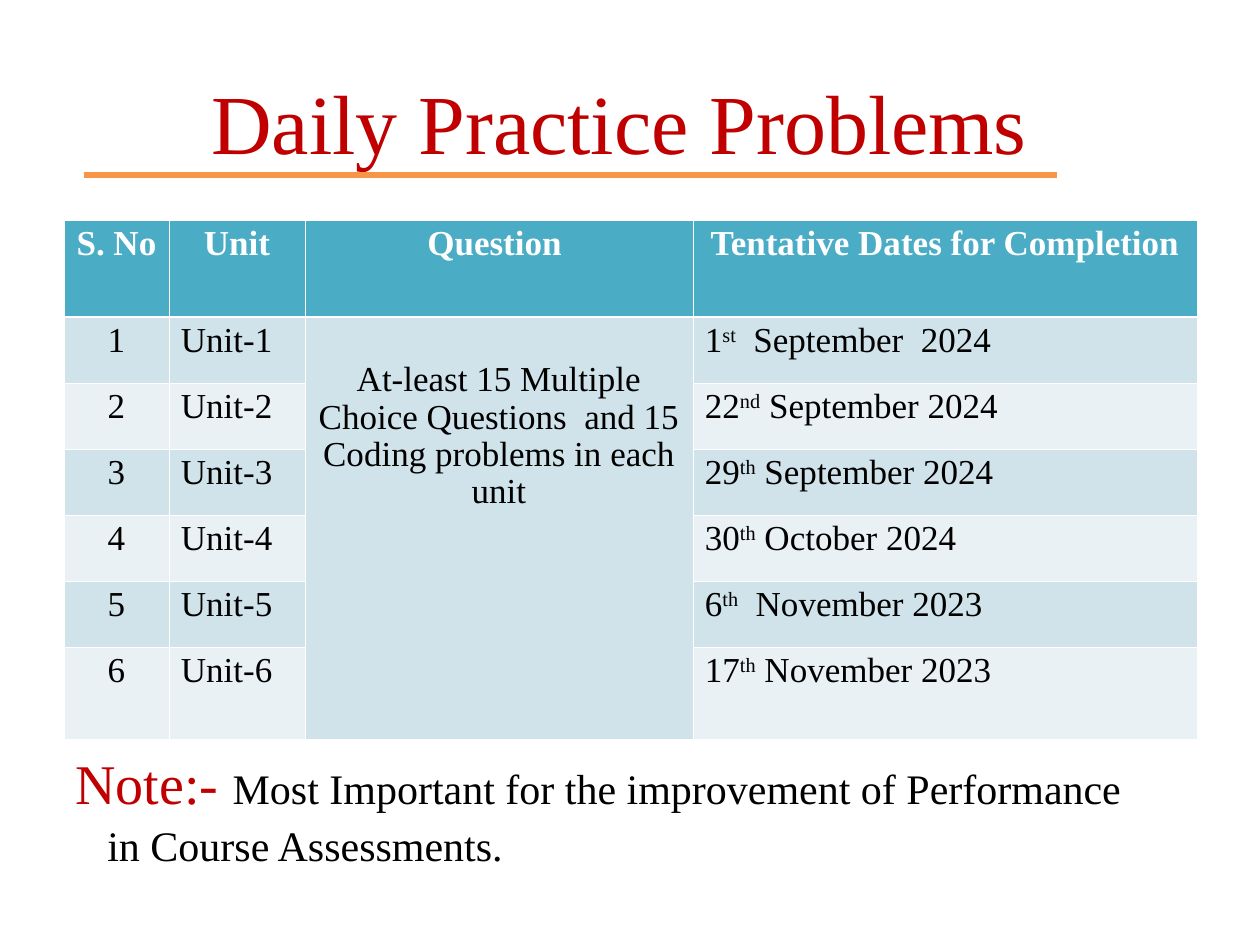
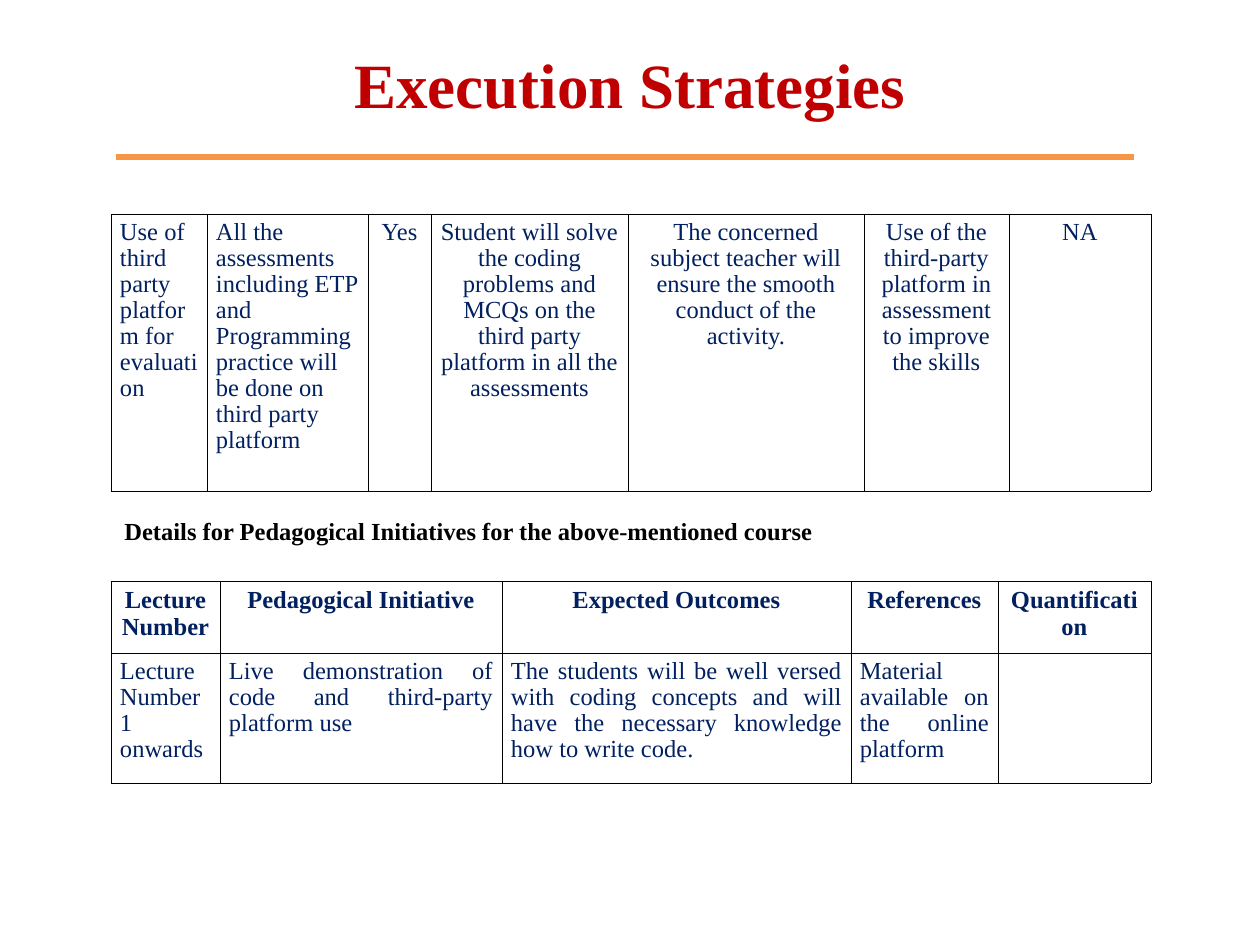
from lxml import etree
from pptx import Presentation
from pptx.dml.color import RGBColor
from pptx.enum import shapes, text
from pptx.oxml import ns
from pptx.util import Emu, Pt

FONT = "Times New Roman"
RED, ORANGE, NAVY = "C00000", "F79646", "002060"
BLACK, WHITE, TEAL = "000000", "FFFFFF", "4BACC6"
BANDS = ("D0E3EA", "E9F1F5")
LEFT, CENTER, JUSTIFY = text.PP_ALIGN.LEFT, text.PP_ALIGN.CENTER, text.PP_ALIGN.JUSTIFY
TIGHT = 0.96

DATES = [
    ("1", "st", "  September  2024"),
    ("22", "nd", " September 2024"),
    ("29", "th", " September 2024"),
    ("30", "th", " October 2024"),
    ("6", "th", "  November 2023"),
    ("17", "th", " November 2023"),
]
PLATFORM_USE = [
    ("Use of third party platform for evaluation", LEFT),
    ("All the assessments including ETP and Programming practice "
     "will be done on third party platform", LEFT),
    ("Yes", CENTER),
    ("Student will solve the coding problems and MCQs on the third party "
     "platform in all the assessments", CENTER),
    ("The concerned subject teacher will ensure the smooth conduct of the activity.", CENTER),
    ("Use of the third-party platform in assessment to improve the skills", CENTER),
    ("NA", CENTER),
]
INITIATIVE_HEADS = ["Lecture Number", "Pedagogical Initiative", "Expected Outcomes",
                    "References", "Quantification"]
INITIATIVE = [
    "Lecture Number 1 onwards",
    "Live demonstration of code and third-party platform use",
    "The students will be well versed with coding concepts and will have "
    "the necessary knowledge how to write code.",
    "Material available on the online platform",
    "",
]


def px(length):
    return Emu(round(length * 914400 / 126))


def color(value):
    return RGBColor.from_string(value)


def style(font, size, tint, bold=False):
    font.name, font.size, font.bold = FONT, Pt(size), bold
    font.color.rgb = color(tint)


def add_text(page, box, words, size, tint, bold=False, align=LEFT, wrap=True):
    frame = page.shapes.add_textbox(*map(px, box)).text_frame
    frame.word_wrap = wrap
    frame.vertical_anchor = text.MSO_ANCHOR.MIDDLE
    para = frame.paragraphs[0]
    para.text = words
    para.alignment = align
    style(para.font, size, tint, bold)
    return para


def add_heading(page, box, words, size, rule, bold=False):
    add_text(page, box, words, size, RED, bold, CENTER)
    start, end, top = rule
    line = page.shapes.add_connector(
        shapes.MSO_CONNECTOR.STRAIGHT, px(start), px(top), px(end), px(top))
    line.line.color.rgb = color(ORANGE)
    line.line.width = Pt(3)
    etree.SubElement(line._element.spPr, ns.qn("a:effectLst"))


def add_grid(page, left, top, widths, heights):
    frame = page.shapes.add_table(len(heights), len(widths), px(left), px(top),
                                  px(sum(widths)), px(sum(heights)))
    table = frame.table
    table.first_row = table.horz_banding = False
    for column, width in zip(table.columns, widths):
        column.width = px(width)
    for row, height in zip(table.rows, heights):
        row.height = px(height)
    return table


def set_borders(cell, tint, width, **special):
    props = cell._tc.get_or_add_tcPr()
    for position, side in enumerate("LRTB"):
        edge = etree.Element(ns.qn(f"a:ln{side}"), w=str(Pt(special.get(side, width))))
        fill = etree.SubElement(edge, ns.qn("a:solidFill"))
        etree.SubElement(fill, ns.qn("a:srgbClr"), val=tint)
        props.insert(position, edge)


def fill_cell(cell, words, size, tint, align=LEFT, bold=False, fill=None, spacing=TIGHT, inset=12):
    cell.margin_left = cell.margin_right = px(inset)
    cell.margin_top = cell.margin_bottom = px(6)
    if fill:
        cell.fill.solid()
        cell.fill.fore_color.rgb = color(fill)
    else:
        cell.fill.background()
    para = cell.text_frame.paragraphs[0]
    para.text = words
    para.alignment = align
    para.line_spacing = spacing
    style(para.font, size, tint, bold)
    return para


def add_schedule(page, left, top):
    table = add_grid(page, left, top, [105, 136, 388, 504], [97] + [66] * 5 + [93])
    heads = ["S. No", "Unit", "Question ", "Tentative Dates for Completion"]
    for column, head in enumerate(heads):
        cell = table.cell(0, column)
        fill_cell(cell, head, 20, WHITE, CENTER, True, TEAL)
        set_borders(cell, WHITE, 0.45, B=1.47)
    for number, (day, suffix, month) in enumerate(DATES, 1):
        band = BANDS[(number - 1) % 2]
        entries = [(str(number), CENTER), (f"Unit-{number}", LEFT), ("", CENTER), (day, LEFT)]
        for column, (words, align) in enumerate(entries):
            cell = table.cell(number, column)
            para = fill_cell(cell, words, 20, BLACK, align, fill=band)
            set_borders(cell, WHITE, 0.45, T=1.47 if number == 1 else 0.45)
        raised = para.add_run()
        raised.text = suffix
        raised._r.get_or_add_rPr().set("baseline", "30000")
        para.add_run().text = month
    task = table.cell(1, 2)
    task.merge(table.cell(len(DATES), 2))
    fill_cell(task, "At-least 15 Multiple Choice Questions  and 15 Coding problems in each unit",
              20, BLACK, CENTER, fill=BANDS[0])
    task.margin_top = px(45)


def add_note(page, box):
    para = add_text(page, box, "", 24, BLACK)
    para.line_spacing = 1.07
    props = para._p.get_or_add_pPr()
    props.set("marL", str(px(32)))
    props.set("indent", str(-px(32)))
    label = para.add_run()
    label.text = "Note:- "
    style(label.font, 32, RED)
    para.add_run().text = "Most Important for the improvement of Performance"
    para.add_line_break()
    para.add_run().text = "in Course Assessments."


def add_platform_use(page, left, top):
    table = add_grid(page, left, top, [96, 161, 63, 197, 236, 145, 142], [277])
    for cell, (words, align) in zip(table.iter_cells(), PLATFORM_USE):
        fill_cell(cell, words, 14, NAVY, align, inset=9)
        set_borders(cell, BLACK, 0.23)


def add_initiatives(page, left, top):
    table = add_grid(page, left, top, [109, 282, 349, 147, 153], [72, 130])
    for column, (head, words) in enumerate(zip(INITIATIVE_HEADS, INITIATIVE)):
        fill_cell(table.cell(0, column), head, 14, NAVY, CENTER, True, spacing=1.0, inset=9)
        fill_cell(table.cell(1, column), words, 14, NAVY, JUSTIFY, inset=9)
    for cell in table.iter_cells():
        set_borders(cell, BLACK, 0.23)


def build_practice(page):
    add_heading(page, (63, 42, 1134, 158), "Daily Practice Problems ", 48, (84, 1057, 175))
    add_schedule(page, 64, 220)
    add_note(page, (63, 728, 1134, 158))


def build_strategies(page):
    add_heading(page, (63, 40, 1134, 86), "Execution Strategies", 36, (116, 1134, 157), True)
    add_platform_use(page, 111, 214)
    add_text(page, (112, 509, 714, 44),
             "Details for Pedagogical Initiatives for the above-mentioned course",
             14, BLACK, True, wrap=False)
    add_initiatives(page, 111, 581)


def main():
    deck = Presentation()
    deck.slide_width, deck.slide_height = px(1260), px(945)
    for build in (build_practice, build_strategies):
        build(deck.slides.add_slide(deck.slide_layouts[6]))
    deck.save("out.pptx")


if __name__ == "__main__":
    main()
